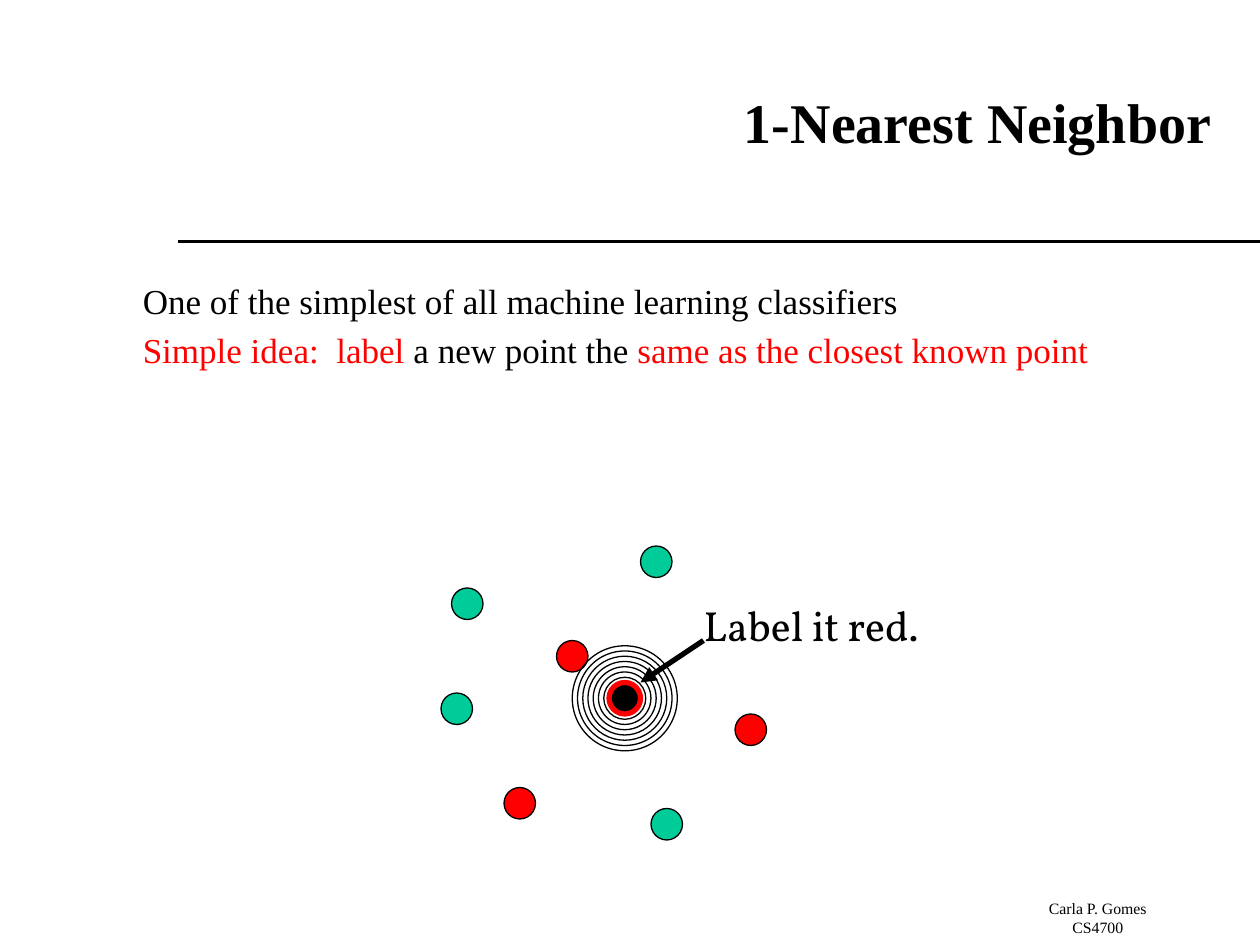
"""Build the 1-Nearest Neighbor slide on a grid of twelve units to the inch."""
from dataclasses import dataclass

from lxml.etree import SubElement
from pptx import Presentation
from pptx.dml.color import RGBColor as Color
from pptx.enum.shapes import MSO_CONNECTOR as Connector, MSO_SHAPE as Shape
from pptx.enum.text import MSO_ANCHOR as Anchor, PP_ALIGN as Align
from pptx.oxml.ns import qn
from pptx.util import Inches, Pt


@dataclass(frozen=True)
class Theme:
    black: str = "000000"
    red: str = "FF0000"
    green: str = "00CC99"
    serif: str = "Times New Roman"
    label_font: str = "Vollkorn"
    title_size: int = 32
    label_size: int = 24
    body_size: int = 20
    footer_size: int = 9
    outline: float = 0.75
    rule: float = 2.25
    heavy: float = 3


THEME = Theme()
COLUMNS, ROWS = 120, 90

TITLE = [[("1-Nearest Neighbor", THEME.black)]]
BODY = [
    [("One of the simplest of all machine learning classifiers", THEME.black)],
    [
        ("Simple idea:  label", THEME.red),
        (" a new point the ", THEME.black),
        ("same as the closest known point", THEME.red),
    ],
]
LABEL = [[("Label it red.", THEME.black)]]
FOOTER = [[("Carla P. Gomes", THEME.black)], [("CS4700", THEME.black)]]

KNOWN_POINTS = {
    THEME.green: [(44.5, 57.5), (62.5, 53.5), (43.5, 67.5), (63.5, 78.5)],
    THEME.red: [(49.5, 76.5), (71.5, 69.5), (54.5, 62.5)],
}
NEW_POINT = (59.5, 66.5)
POINT_DIAMETER = 3
RING_DIAMETERS = range(10, 3, -1)


def grid(units):
    return Inches(units / 12)


def add_text(slide, paragraphs, box, *, size, font=THEME.serif, bold=False,
             align=Align.LEFT, anchor=Anchor.TOP, wrap=True, gap=0, hanging=0):
    frame = slide.shapes.add_textbox(*map(grid, box)).text_frame
    frame.word_wrap = wrap
    frame.vertical_anchor = anchor
    frame.margin_left = frame.margin_right = Inches(0.05)
    frame.margin_top = frame.margin_bottom = Inches(0.05)
    for index, runs in enumerate(paragraphs):
        paragraph = frame.add_paragraph() if index else frame.paragraphs[0]
        paragraph.alignment = align
        paragraph.space_before = Pt(gap if index else 0)
        if hanging:
            properties = paragraph._p.get_or_add_pPr()
            properties.set("marL", str(Inches(hanging)))
            properties.set("indent", str(-Inches(hanging)))
        for text, color in runs:
            run = paragraph.add_run()
            run.text = text
            run.font.name = font
            run.font.size = Pt(size)
            run.font.bold = bold
            run.font.color.rgb = Color.from_string(color)


def add_circle(slide, center, diameter, fill=None, line=THEME.black, width=THEME.outline):
    left, top = (grid(middle - diameter / 2) for middle in center)
    circle = slide.shapes.add_shape(Shape.OVAL, left, top, grid(diameter), grid(diameter))
    circle.shadow.inherit = False
    if fill:
        circle.fill.solid()
        circle.fill.fore_color.rgb = Color.from_string(fill)
    else:
        circle.fill.background()
    circle.line.color.rgb = Color.from_string(line)
    circle.line.width = Pt(width)


def add_line(slide, start, end, width, arrow=False):
    line = slide.shapes.add_connector(Connector.STRAIGHT, *map(grid, start + end))
    line.line.color.rgb = Color.from_string(THEME.black)
    line.line.width = Pt(width)
    if arrow:
        SubElement(line.line._get_or_add_ln(), qn("a:tailEnd"), type="triangle")
    SubElement(line._element.spPr, qn("a:effectLst"))


def main():
    presentation = Presentation()
    presentation.slide_width, presentation.slide_height = grid(COLUMNS), grid(ROWS)
    slide = presentation.slides.add_slide(presentation.slide_layouts[6])

    add_line(slide, (17, 23), (COLUMNS, 23), THEME.rule)
    add_text(slide, FOOTER, (99.2, 85, 10.7, 4.4), size=THEME.footer_size,
             align=Align.CENTER, wrap=False)
    add_text(slide, TITLE, (14, 4, 102, 15), size=THEME.title_size, bold=True,
             align=Align.RIGHT, anchor=Anchor.MIDDLE)
    add_text(slide, BODY, (13, 26, 102, 54), size=THEME.body_size, gap=4, hanging=0.38)

    for color, centers in KNOWN_POINTS.items():
        for center in centers:
            add_circle(slide, center, POINT_DIAMETER, fill=color)
    add_text(slide, LABEL, (66.4, 56.5, 22.4, 6.5), size=THEME.label_size,
             font=THEME.label_font, wrap=False)
    for diameter in RING_DIAMETERS:
        add_circle(slide, NEW_POINT, diameter)
    add_circle(slide, NEW_POINT, POINT_DIAMETER, fill=THEME.black,
               line=THEME.red, width=THEME.heavy)
    add_line(slide, (67, 61), (61, 65), THEME.heavy, arrow=True)

    presentation.save("out.pptx")


if __name__ == "__main__":
    main()
